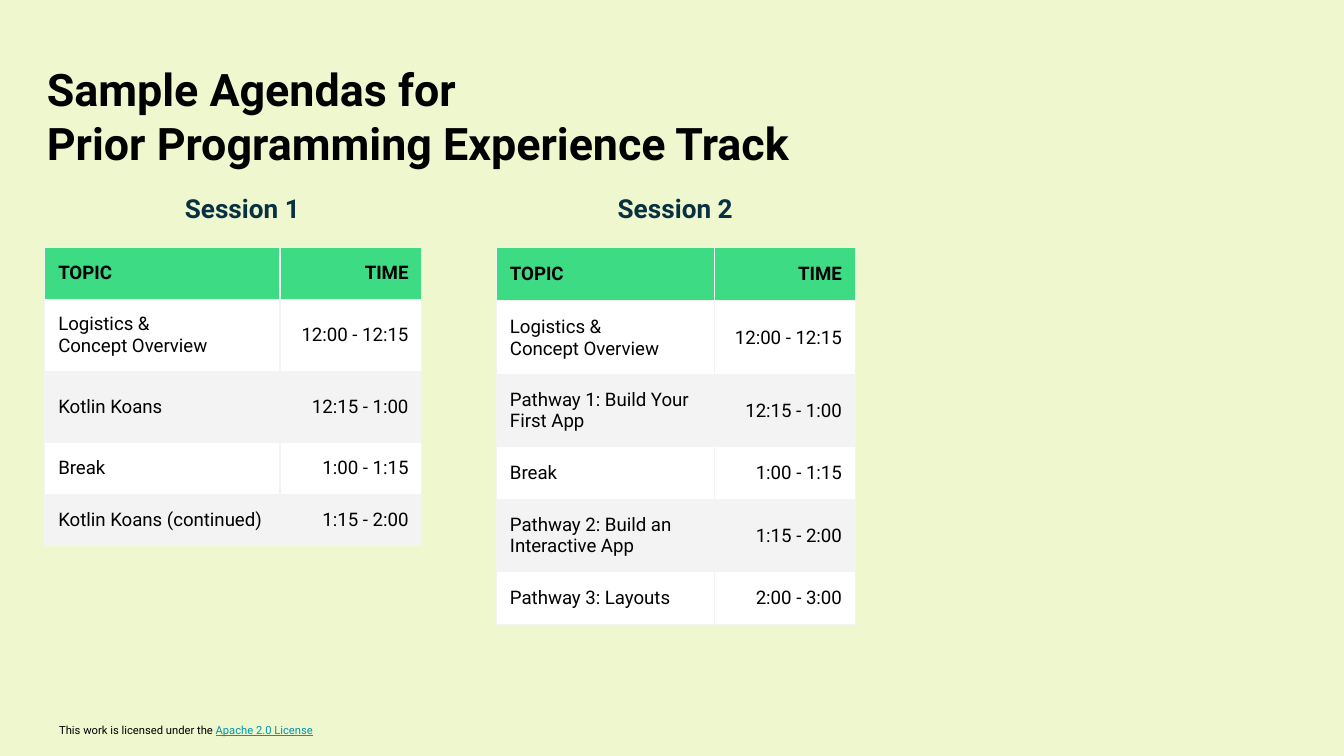
from dataclasses import dataclass

from lxml.etree import SubElement
from pptx import Presentation
from pptx.dml.color import RGBColor
from pptx.enum.text import MSO_ANCHOR, PP_ALIGN
from pptx.oxml.ns import qn
from pptx.slide import Slide
from pptx.table import _Cell
from pptx.text.text import TextFrame, _Paragraph
from pptx.util import Pt


@dataclass(frozen=True)
class Theme:
    font: str = "Roboto"
    background: str = "EFF7CF"
    text: str = "000000"
    session: str = "073042"
    link: str = "0097A7"
    header: str = "3DDC84"
    stripes: tuple[str, str] = ("FFFFFF", "F3F3F3")
    border: str = "F3F3F3"
    border_width: float = 0.75
    title_size: float = 24
    session_size: float = 14
    table_size: float = 10
    footer_size: float = 6


@dataclass(frozen=True)
class Box:
    left: float
    top: float
    width: float
    height: float


@dataclass(frozen=True)
class Entry:
    topic: str
    time: str
    height: float


@dataclass(frozen=True)
class Session:
    name: str
    heading: Box
    table_left: float
    column_widths: tuple[float, float]
    entries: tuple[Entry, ...]


THEME = Theme()
TABLE_TOP = 132.7
SESSIONS = (
    Session("Session 1", Box(33.8, 95.8, 192.2, 25.2), 24, (126, 76), (
        Entry("TOPIC", "TIME", 27.7),
        Entry("Logistics &\nConcept Overview", "12:00 - 12:15", 38.2),
        Entry("Kotlin Koans", "12:15 - 1:00", 38.2),
        Entry("Break", "1:00 - 1:15", 27.7),
        Entry("Kotlin Koans (continued)", "1:15 - 2:00", 27.7),
    )),
    Session("Session 2", Box(265.7, 95.8, 192.2, 25.2), 266, (116.6, 75.6), (
        Entry("TOPIC", "TIME", 28.5),
        Entry("Logistics &\nConcept Overview", "12:00 - 12:15", 39.6),
        Entry("Pathway 1: Build Your First App", "12:15 - 1:00", 38.2),
        Entry("Break", "1:00 - 1:15", 28.5),
        Entry("Pathway 2: Build an Interactive App", "1:15 - 2:00", 38.2),
        Entry("Pathway 3: Layouts", "2:00 - 3:00", 28.5),
    )),
)


def add_run(paragraph: _Paragraph, text: str, size: float, color: str,
            bold: bool = False, underline: bool = False) -> None:
    run = paragraph.add_run()
    run.text = text
    run.font.name = THEME.font
    run.font.size = Pt(size)
    run.font.bold = bold
    run.font.underline = underline
    run.font.color.rgb = RGBColor.from_string(color)


def write_lines(frame: TextFrame, text: str, size: float, color: str,
                bold: bool, alignment: PP_ALIGN) -> None:
    for index, line in enumerate(text.split("\n")):
        paragraph = frame.add_paragraph() if index else frame.paragraphs[0]
        paragraph.alignment = alignment
        add_run(paragraph, line, size, color, bold)


def add_text_box(slide: Slide, box: Box, inset: float) -> TextFrame:
    shape = slide.shapes.add_textbox(
        Pt(box.left), Pt(box.top), Pt(box.width), Pt(box.height))
    frame = shape.text_frame
    frame.word_wrap = True
    frame.vertical_anchor = MSO_ANCHOR.TOP
    frame.margin_left = frame.margin_right = Pt(inset)
    frame.margin_top = frame.margin_bottom = Pt(inset)
    return frame


def add_borders(cell: _Cell) -> None:
    properties = cell._tc.get_or_add_tcPr()
    for position, side in enumerate(("a:lnL", "a:lnR", "a:lnT", "a:lnB")):
        line = SubElement(properties, qn(side), w=str(Pt(THEME.border_width)))
        fill = SubElement(line, qn("a:solidFill"))
        SubElement(fill, qn("a:srgbClr"), val=THEME.border)
        properties.insert(position, line)


def format_cell(cell: _Cell, text: str, fill: str, bold: bool,
                alignment: PP_ALIGN) -> None:
    cell.fill.solid()
    cell.fill.fore_color.rgb = RGBColor.from_string(fill)
    cell.vertical_anchor = MSO_ANCHOR.MIDDLE
    cell.margin_left = cell.margin_right = Pt(7.2)
    cell.margin_top = cell.margin_bottom = Pt(7.2)
    write_lines(cell.text_frame, text, THEME.table_size, THEME.text, bold, alignment)
    add_borders(cell)


def add_agenda(slide: Slide, session: Session) -> None:
    entries = session.entries
    table = slide.shapes.add_table(
        len(entries), 2, Pt(session.table_left), Pt(TABLE_TOP),
        Pt(sum(session.column_widths)),
        Pt(sum(entry.height for entry in entries))).table
    for column, width in zip(table.columns, session.column_widths):
        column.width = Pt(width)
    for index, entry in enumerate(entries):
        table.rows[index].height = Pt(entry.height)
        is_header = index == 0
        fill = THEME.header if is_header else THEME.stripes[(index - 1) % 2]
        format_cell(table.cell(index, 0), entry.topic, fill, is_header, PP_ALIGN.LEFT)
        format_cell(table.cell(index, 1), entry.time, fill, is_header, PP_ALIGN.RIGHT)


def add_heading(slide: Slide, session: Session) -> None:
    frame = add_text_box(slide, session.heading, 7.2)
    write_lines(frame, session.name, THEME.session_size, THEME.session,
                True, PP_ALIGN.CENTER)


def add_title(slide: Slide) -> None:
    frame = add_text_box(slide, Box(18, 25.9, 607, 57.6), 7.2)
    write_lines(frame, "Sample Agendas for\nPrior Programming Experience Track",
                THEME.title_size, THEME.text, True, PP_ALIGN.LEFT)


def add_footer(slide: Slide) -> None:
    frame = add_text_box(slide, Box(27.4, 380.2, 197.3, 12.2), 4.3)
    paragraph = frame.paragraphs[0]
    paragraph.line_spacing = 1.4
    add_run(paragraph, "This work is licensed under the ",
            THEME.footer_size, THEME.text)
    add_run(paragraph, "Apache 2.0 License",
            THEME.footer_size, THEME.link, underline=True)


def main() -> None:
    presentation = Presentation()
    presentation.slide_width = Pt(720)
    presentation.slide_height = Pt(405)
    slide = presentation.slides.add_slide(presentation.slide_layouts[6])
    slide.background.fill.solid()
    slide.background.fill.fore_color.rgb = RGBColor.from_string(THEME.background)
    add_footer(slide)
    for session in SESSIONS:
        add_agenda(slide, session)
    for session in SESSIONS:
        add_heading(slide, session)
    add_title(slide)
    presentation.save("out.pptx")


if __name__ == "__main__":
    main()
